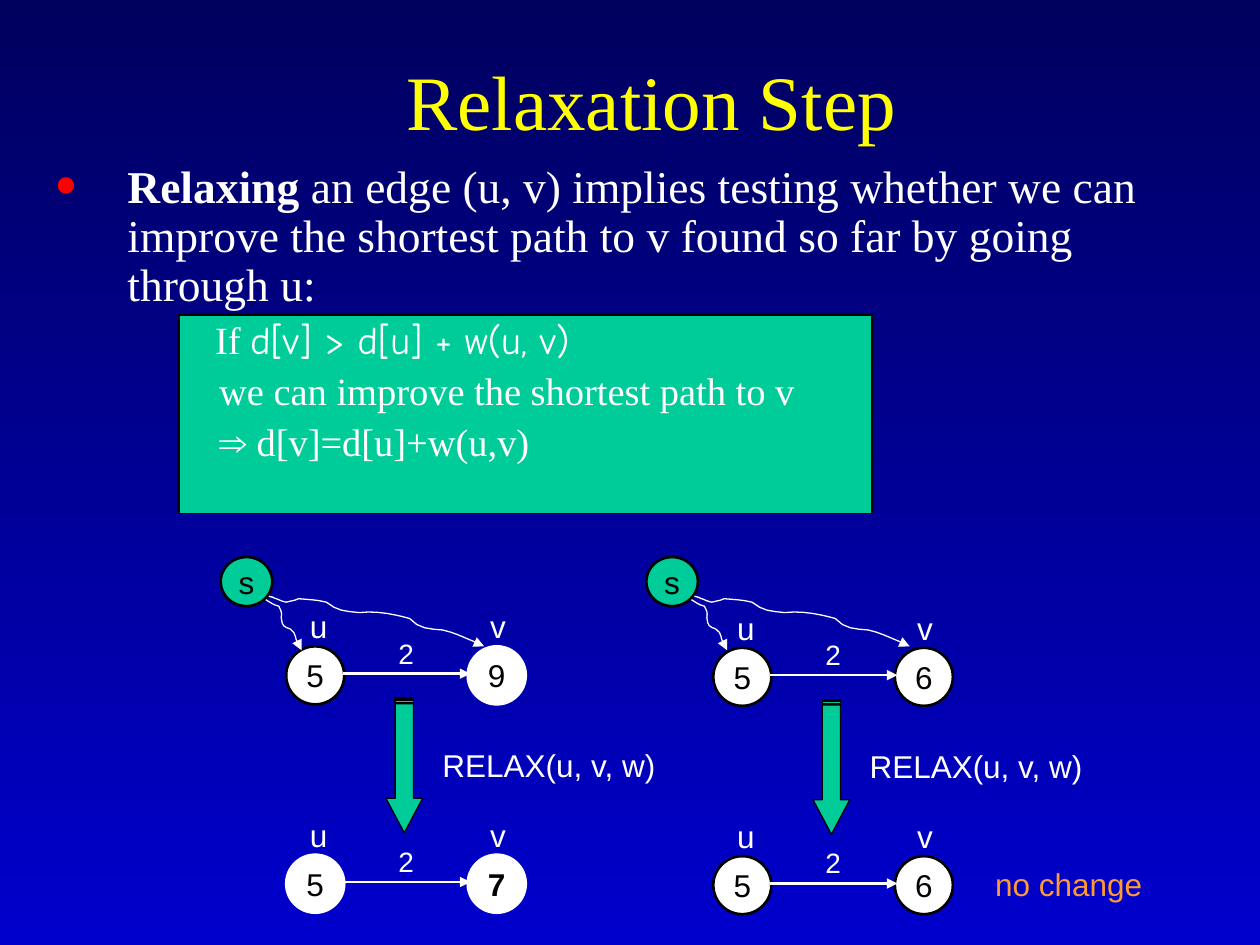
from dataclasses import dataclass

from lxml.etree import SubElement
from pptx import Presentation
from pptx.dml.color import RGBColor
from pptx.enum.shapes import MSO_CONNECTOR, MSO_SHAPE
from pptx.enum.text import MSO_ANCHOR, PP_ALIGN
from pptx.oxml.ns import qn
from pptx.util import Cm, Pt


@dataclass(frozen=True)
class Theme:
    top: str = "00005E"
    bottom: str = "0000CC"
    white: str = "FFFFFF"
    black: str = "000000"
    yellow: str = "FFFF00"
    red: str = "FF0000"
    green: str = "00CC99"
    orange: str = "FF9933"
    serif: str = "Times New Roman"
    sans: str = "Arial"
    casual: str = "Comic Neue"
    title: int = 44
    body: int = 26
    rule: int = 22
    label: int = 18
    weight: int = 16
    thin: float = 0.75
    thick: float = 1.5


THEME = Theme()

# Bezier points in cm, measured from the corner of the source node
PATH_TO_U = [
    (0.91, 0.86), (0.99, 0.91), (1.07, 0.97), (1.17, 0.99),
    (1.22, 1.09), (1.24, 1.12), (1.22, 1.22),
    (1.24, 1.4), (1.27, 1.4), (1.4, 1.45),
    (1.55, 1.55), (1.47, 1.63), (1.57, 1.75),
    (1.6, 1.85), (1.57, 1.8), (1.63, 1.88),
]
PATH_TO_V = [
    (0.97, 0.79), (1.22, 0.86), (0.84, 0.74), (1.17, 0.86),
    (1.22, 0.89), (1.32, 0.91), (1.32, 0.91),
    (1.52, 0.86), (1.45, 0.89), (1.57, 0.84),
    (1.78, 0.86), (1.93, 0.86), (2.13, 0.91),
    (2.36, 1.09), (2.49, 1.09), (2.79, 1.12),
    (3.05, 1.09), (3.28, 1.12), (3.53, 1.17),
    (3.63, 1.19), (3.81, 1.24), (3.81, 1.24),
    (3.99, 1.45), (4.22, 1.45), (4.47, 1.47),
    (4.7, 1.52), (4.85, 1.6), (5.05, 1.68),
    (5.11, 1.7), (5.18, 1.75), (5.21, 1.78),
    (5.23, 1.8), (5.31, 1.8), (5.31, 1.8),
]


def write(paragraph, text, *, size=THEME.label, color=THEME.white,
          face=THEME.sans, bold=False, align=PP_ALIGN.LEFT):
    paragraph.alignment = align
    run = paragraph.add_run()
    run.text = text
    run.font.size = Pt(size)
    run.font.name = face
    run.font.bold = bold
    run.font.color.rgb = RGBColor.from_string(color)


def text_frame(slide, box, wrap=False, anchor=MSO_ANCHOR.TOP):
    frame = slide.shapes.add_textbox(*map(Cm, box)).text_frame
    frame.word_wrap = wrap
    frame.vertical_anchor = anchor
    return frame


def label(slide, text, box, **style):
    write(text_frame(slide, box).paragraphs[0], text, **style)


def outlined(slide, preset, box, fill, line, width):
    shape = slide.shapes.add_shape(preset, *map(Cm, box))
    shape.shadow.inherit = False
    shape.fill.solid()
    shape.fill.fore_color.rgb = RGBColor.from_string(fill)
    shape.line.color.rgb = RGBColor.from_string(line)
    shape.line.width = Pt(width)
    return shape


def node(slide, text, box, fill=THEME.white, line=THEME.black, bold=False):
    frame = outlined(slide, MSO_SHAPE.OVAL, box, fill, line, THEME.thick).text_frame
    frame.word_wrap = False
    frame.vertical_anchor = MSO_ANCHOR.MIDDLE
    write(frame.paragraphs[0], text, color=THEME.black, bold=bold,
          align=PP_ALIGN.CENTER)


def arrow_line(shape, width):
    shape.line.color.rgb = RGBColor.from_string(THEME.white)
    shape.line.width = Pt(width)
    SubElement(shape.line._get_or_add_ln(), qn("a:tailEnd"), type="triangle")


def wavy_path(slide, left, top, points, steps=4):
    """Draw chained cubic curves as a fine open outline with an arrowhead."""
    outline = [points[0]]
    for i in range(0, len(points) - 1, 3):
        curve = points[i:i + 4]
        for t in (step / steps for step in range(1, steps + 1)):
            factors = ((1 - t) ** 3, 3 * t * (1 - t) ** 2, 3 * t * t * (1 - t), t ** 3)
            outline.append(tuple(sum(f * p[axis] for f, p in zip(factors, curve))
                                 for axis in (0, 1)))
    start, *rest = [(Cm(left + x), Cm(top + y)) for x, y in outline]
    builder = slide.shapes.build_freeform(*start)
    builder.add_line_segments(rest, close=False)
    path = builder.convert_to_shape()
    path.shadow.inherit = False
    path.fill.background()
    arrow_line(path, THEME.thin)


def heading(slide, box):
    frame = text_frame(slide, box, wrap=True, anchor=MSO_ANCHOR.MIDDLE)
    write(frame.paragraphs[0], "Relaxation Step", size=THEME.title,
          color=THEME.yellow, face=THEME.serif, align=PP_ALIGN.CENTER)


def explanation(slide, box):
    left, top, width, _ = box
    outlined(slide, MSO_SHAPE.RECTANGLE, (left + 2.77, top + 3.17, 13.97, 4.01),
             THEME.green, THEME.black, THEME.thin)
    frame = text_frame(slide, box, wrap=True)

    # Bulleted statement
    statement = frame.paragraphs[0]
    statement.line_spacing = 0.9
    props = statement._p.get_or_add_pPr()
    props.set("marL", str(Cm(1.48)))
    props.set("indent", str(Cm(-1.48)))
    SubElement(SubElement(props, qn("a:buClr")), qn("a:srgbClr"), val=THEME.red)
    SubElement(props, qn("a:buSzPct"), val="150000")
    SubElement(props, qn("a:buFont"), typeface=THEME.serif)
    SubElement(props, qn("a:buChar"), char="•")
    body = dict(size=THEME.body, face=THEME.serif)
    write(statement, "Relaxing ", bold=True, **body)
    write(statement, "an edge (u, v) implies testing whether we can improve the "
          "shortest path to v found so far by going through u:", **body)

    # Rule on the green panel
    rule_lines = [
        (3.25, [("If ", THEME.serif), ("d[v] > d[u] + w(u, v)", THEME.casual)]),
        (3.33, [("we can improve the shortest path to v", THEME.serif)]),
        (3.33, [("⇒", THEME.sans), (" d[v]=d[u]+w(u,v)", THEME.serif)]),
    ]
    for indent, parts in rule_lines:
        line = frame.add_paragraph()
        line.line_spacing = 0.9
        line.space_before = Pt(5.5)
        line._p.get_or_add_pPr().set("marL", str(Cm(indent)))
        for text, face in parts:
            write(line, text, size=THEME.rule, face=face)


def edge_graph(slide, left, top, u, v):
    """Each node is (distance, outline colour, bold)."""
    for x, (distance, line, bold) in ((0, u), (3.66, v)):
        node(slide, distance, (left + x, top, 1.17, 1.17), line=line, bold=bold)
    edge = slide.shapes.add_connector(
        MSO_CONNECTOR.STRAIGHT, Cm(left + 1.14), Cm(top + 0.55),
        Cm(left + 3.71), Cm(top + 0.55))
    arrow_line(edge, THEME.thick)
    SubElement(edge._element.spPr, qn("a:effectLst"))
    label(slide, "2", (left + 2.01, top - 0.33, 0.81, 0.94), size=THEME.weight)
    label(slide, "u", (left + 0.23, top - 0.91, 0.86, 1.02))
    label(slide, "v", (left + 3.86, top - 0.91, 0.81, 1.02))


def relaxation(slide, left, top, source_left, before, after):
    edge_graph(slide, left, top, *before)
    edge_graph(slide, left, top + 4.2, *after)

    # Relax call between the two states
    arrow = outlined(slide, MSO_SHAPE.STRIPED_RIGHT_ARROW,
                     (left + 1.02, top + 2.03, 2.72, 0.74),
                     THEME.green, THEME.black, THEME.thin)
    arrow.rotation = 90
    arrow.adjustments[1] = 0.94
    label(slide, "RELAX(u, v, w)", (left + 2.9, top + 1.88, 4.85, 1.02))

    # Source with its known paths
    source_top = 11.23
    node(slide, "s", (source_left, source_top, 1.04, 0.99), fill=THEME.green)
    for points in (PATH_TO_U, PATH_TO_V):
        wavy_path(slide, source_left, source_top, points)


def main():
    deck = Presentation()
    deck.slide_width, deck.slide_height = Cm(25.4), Cm(19.05)
    slide = deck.slides.add_slide(deck.slide_layouts[6])
    backdrop = slide.background.fill
    backdrop.gradient()
    backdrop.gradient_angle = 270
    for stop, color in zip(backdrop.gradient_stops, (THEME.top, THEME.bottom)):
        stop.color.rgb = RGBColor.from_string(color)

    heading(slide, (2.34, 0.43, 21.59, 3.18))
    explanation(slide, (0.84, 3.18, 22.86, 7.62))
    black, white = THEME.black, THEME.white
    relaxation(slide, 5.77, 13.03, 4.45,
               before=(("5", black, False), ("9", white, False)),
               after=(("5", white, False), ("7", white, True)))
    unchanged = (("5", black, False), ("6", black, False))
    relaxation(slide, 14.38, 13.06, 13.03, before=unchanged, after=unchanged)
    label(slide, "no change", (19.81, 17.32, 3.48, 1.02), color=THEME.orange)
    deck.save("out.pptx")


if __name__ == "__main__":
    main()
